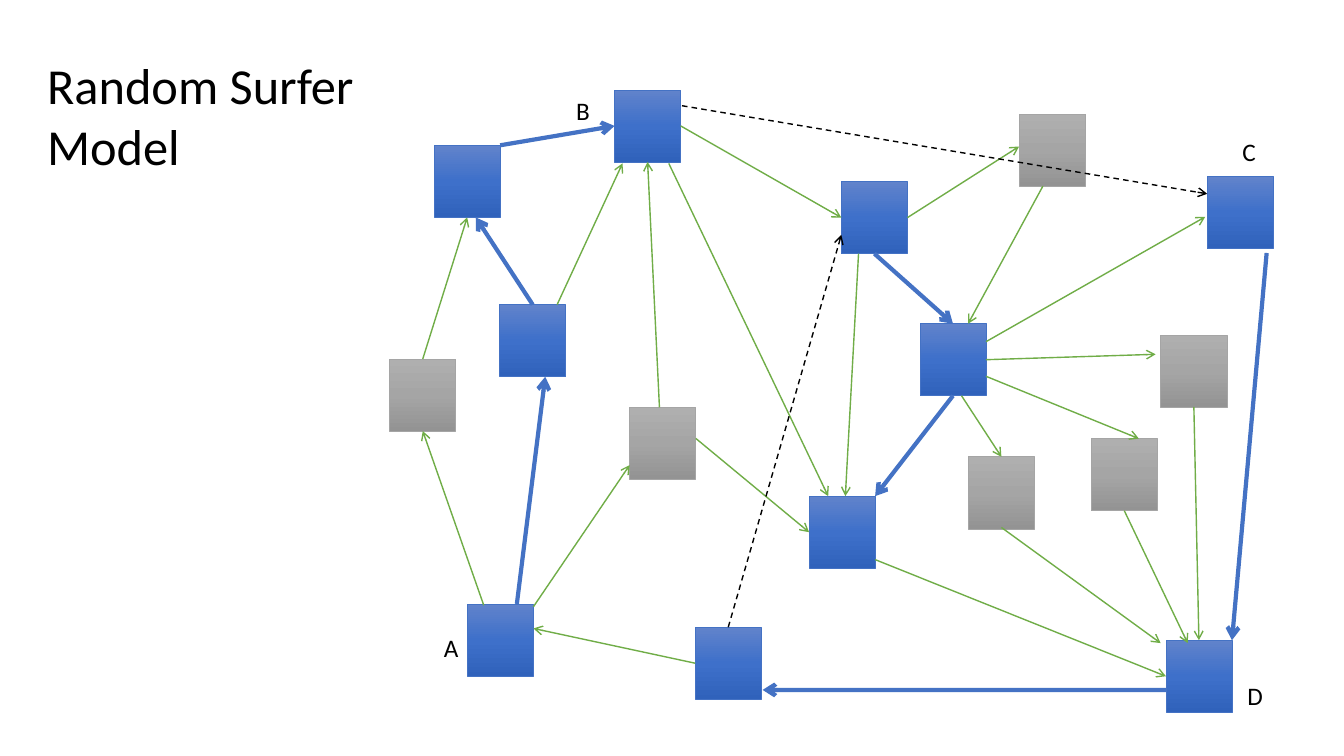
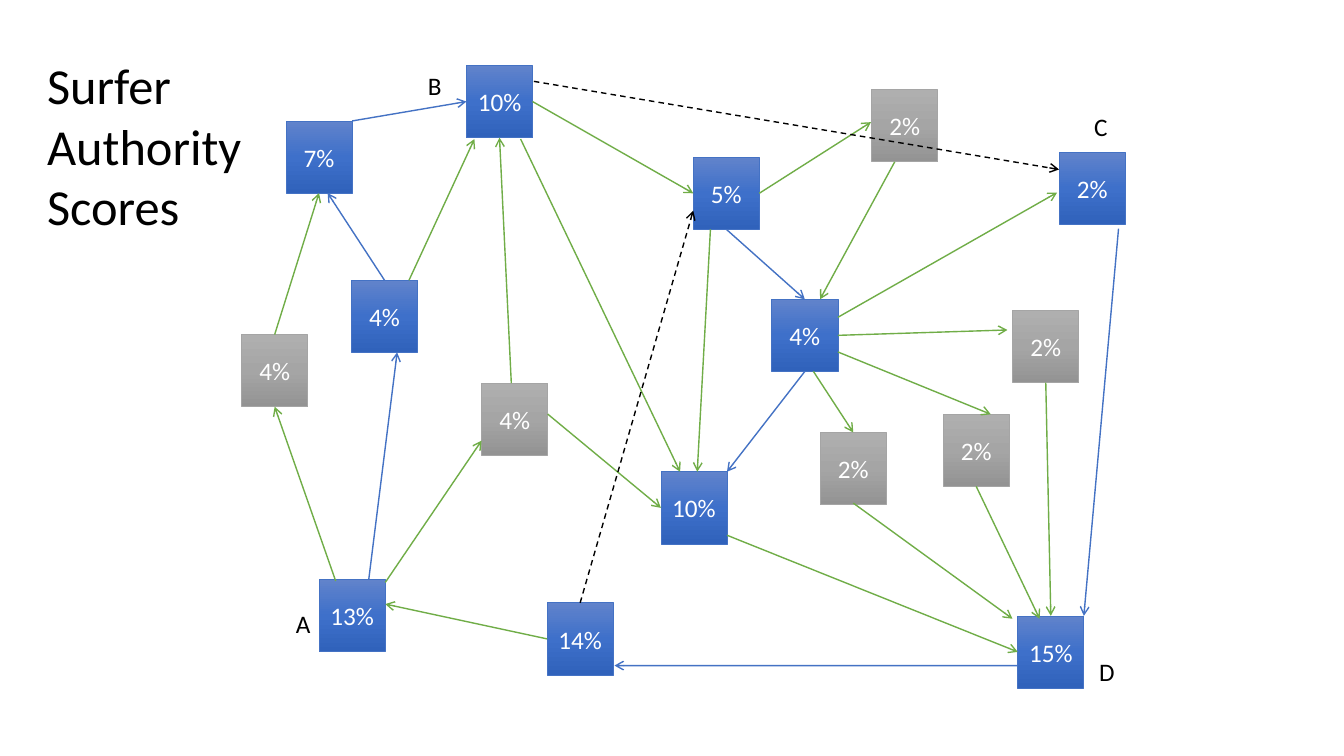
import copy

import pptx
import pptx.dml.color
import pptx.enum.dml
import pptx.enum.shapes
import pptx.enum.text
import pptx.oxml.ns
import pptx.oxml.xmlchemy
import pptx.util

Pt = pptx.util.Pt
FONT = "Calibri"
BLACK, WHITE = "000000", "FFFFFF"
BLUE, GREEN, GRAY = "4472C4", "70AD47", "A5A5A5"
GRADIENTS = {
    BLUE: ("6183CB", "3E70CA", "3062BB"),
    GRAY: ("AFAFAF", "A5A5A5", "939393"),
}
NODE_W, NODE_H = 47.2, 51.5

NODES = {
    "upper left": (31.7, 39.6, BLUE),
    "sink": (299.5, 290.2, BLUE),
    "left": (78.5, 153.4, BLUE),
    "B": (160.6, 0, BLUE),
    "upper middle": (322.6, 65.5, BLUE),
    "hub": (378.7, 167, BLUE),
    "bottom": (218.2, 383.8, BLUE),
    "A": (55.4, 367.2, BLUE),
    "D": (554.4, 393.1, BLUE),
    "C": (583.9, 61.9, BLUE),
    "gray left": (0, 192.2, GRAY),
    "gray middle": (171.4, 226.8, GRAY),
    "gray lower": (413.3, 262.1, GRAY),
    "gray right": (501.1, 249.1, GRAY),
    "gray far right": (550.8, 175, GRAY),
    "gray top": (450, 17.3, GRAY),
}
LETTERS = {"A": (-23.8, 16.6), "B": (-34.6, 0), "C": (18, -32.4), "D": (51.1, 25.2)}

TOP, LEFT, BOTTOM, RIGHT = (0.5, 0), (0, 0.5), (0.5, 1), (1, 0.5)
SITES = [TOP, LEFT, BOTTOM, RIGHT]

VISITED = [
    ("A", (0.75, 0), "left", (0.69, 1)),
    ("left", TOP, "upper left", (0.63, 1)),
    ("upper left", (1, 0), "B", LEFT),
    ("upper middle", BOTTOM, "hub", TOP),
    ("hub", BOTTOM, "sink", (1, 0)),
    ("C", (0.9, 1.06), "D", (1, 0)),
    ("D", (0, 0.69), "bottom", (1.02, 0.87)),
]
LINKS = [
    ("gray left", TOP, "upper left", BOTTOM),
    ("A", (0.25, 0.02), "gray left", BOTTOM),
    ("A", (1, 0.04), "gray middle", (0, 0.8)),
    ("left", (0.87, 0), "B", (0.12, 1.02)),
    ("gray middle", (0.45, 0), "B", BOTTOM),
    ("B", RIGHT, "upper middle", LEFT),
    ("bottom", LEFT, "A", (1, 0.34)),
    ("upper middle", RIGHT, "gray top", (-0.01, 0.45)),
    ("hub", (1, 0.25), "C", (-0.03, 0.56)),
    ("hub", RIGHT, "gray far right", (-0.08, 0.27)),
    ("hub", (1, 0.73), "gray right", (0.72, 0)),
    ("hub", (0.63, 1), "gray lower", TOP),
    ("gray far right", BOTTOM, "D", TOP),
    ("gray right", BOTTOM, "D", (0.33, 0.04)),
    ("gray lower", (0.5, 0.98), "D", (-0.08, 0.04)),
    ("sink", (1, 0.88), "D", LEFT),
    ("gray top", (0.35, 1), "hub", (0.73, 0)),
    ("gray middle", (1, 0.43), "sink", LEFT),
    ("B", (0.82, 1.02), "sink", (0.29, 0)),
    ("upper middle", (0.26, 1), "sink", (0.55, 0)),
]
JUMPS = [
    ("B", (1.02, 0.22), "C", (0, 0.24)),
    ("bottom", TOP, "upper middle", (0, 0.74)),
]
SCORES = {
    "upper left": "7%", "sink": "10%", "left": "4%", "B": "10%",
    "upper middle": "5%", "hub": "4%", "bottom": "14%", "A": "13%",
    "D": "15%", "C": "2%", "gray left": "4%", "gray middle": "4%",
    "gray lower": "2%", "gray right": "2%", "gray far right": "2%",
    "gray top": "2%",
}


def rgb(color):
    return pptx.dml.color.RGBColor.from_string(color)


def set_text(sp, text, size, color):
    p = sp.text_frame.paragraphs[0]
    p.text = text
    font = p.runs[0].font
    font.name, font.size = FONT, Pt(size)
    font.color.rgb = rgb(color)
    return p


def add_text(slide, x, y, w, h, text, size, wrap):
    tb = slide.shapes.add_textbox(Pt(x), Pt(y), Pt(w), Pt(h))
    tb.text_frame.word_wrap = wrap
    tb.text_frame.auto_size = pptx.enum.text.MSO_AUTO_SIZE.SHAPE_TO_FIT_TEXT
    set_text(tb, text, size, BLACK)


def add_title(slide, text, h):
    add_text(slide, 26.6, 35.3, 235.4, h, text, 36, True)


def add_node(slide, x, y, color, score):
    sp = slide.shapes.add_shape(
        pptx.enum.shapes.MSO_SHAPE.RECTANGLE, Pt(x), Pt(y), Pt(NODE_W), Pt(NODE_H))
    sp.shadow.inherit = False
    sp.fill.gradient()
    sp.fill.gradient_angle = 270
    stop_list = sp._element.spPr.find(".//" + pptx.oxml.ns.qn("a:gsLst"))
    stop_list.insert(1, copy.deepcopy(stop_list[0]))
    for i, (stop, stop_color) in enumerate(zip(sp.fill.gradient_stops, GRADIENTS[color])):
        stop.position = i / 2
        stop.color.rgb = rgb(stop_color)
    sp.line.color.rgb = rgb(color)
    sp.line.width = Pt(0.5)
    if score:
        p = set_text(sp, score, 18, WHITE)
        p.alignment = pptx.enum.text.PP_ALIGN.CENTER
        sp.text_frame.vertical_anchor = pptx.enum.text.MSO_ANCHOR.MIDDLE
    return sp


def point_on(sp, anchor):
    return int(sp.left + anchor[0] * sp.width), int(sp.top + anchor[1] * sp.height)


def add_arrow(slide, start, start_at, end, end_at, color, width, dashed):
    line = slide.shapes.add_connector(
        pptx.enum.shapes.MSO_CONNECTOR.STRAIGHT,
        *point_on(start, start_at), *point_on(end, end_at))
    if start_at in SITES:
        line.begin_connect(start, SITES.index(start_at))
    if end_at in SITES:
        line.end_connect(end, SITES.index(end_at))
    line.line.color.rgb = rgb(color)
    line.line.width = Pt(width)
    if dashed:
        line.line.dash_style = pptx.enum.dml.MSO_LINE.DASH
    tail = pptx.oxml.xmlchemy.OxmlElement("a:tailEnd")
    tail.set("type", "arrow")
    sp_pr = line._element.spPr
    sp_pr.find(pptx.oxml.ns.qn("a:ln")).append(tail)
    sp_pr.append(pptx.oxml.xmlchemy.OxmlElement("a:effectLst"))


def add_graph(slide, x, y, scores, visited_width):
    nodes = {name: add_node(slide, x + dx, y + dy, color, scores.get(name))
             for name, (dx, dy, color) in NODES.items()}
    for letter, (dx, dy) in LETTERS.items():
        node_x, node_y, _ = NODES[letter]
        add_text(slide, x + node_x + dx, y + node_y + dy, 25, 29, letter, 18, False)
    for edges, color, width, dashed in (
            (VISITED, BLUE, visited_width, False),
            (LINKS, GREEN, 1, False),
            (JUMPS, BLACK, 1, True)):
        for start, start_at, end, end_at in edges:
            add_arrow(slide, nodes[start], start_at, nodes[end], end_at,
                      color, width, dashed)


def add_graph_slide(prs, title, title_h, x, y, scores, visited_width):
    slide = prs.slides.add_slide(prs.slide_layouts[6])
    add_graph(slide, x, y, scores, visited_width)
    add_title(slide, title, title_h)


def main():
    prs = pptx.Presentation()
    prs.slide_width, prs.slide_height = Pt(960), Pt(540)
    add_graph_slide(prs, "Random Surfer Model", 94, 278.4, 64.2, {}, 3)
    add_graph_slide(prs, "Surfer Authority Scores", 138, 172.6, 46.8, SCORES, 1)
    prs.save("out.pptx")


if __name__ == "__main__":
    main()
